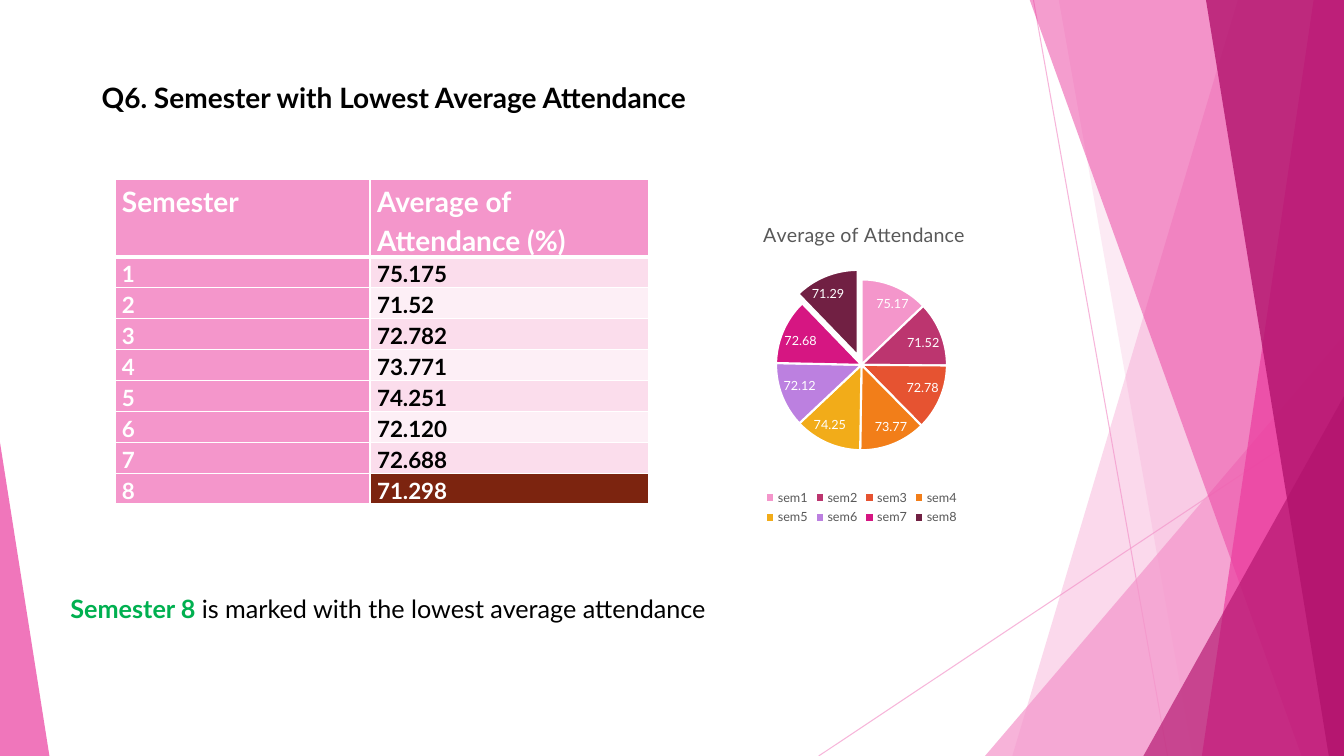
from lxml.etree import SubElement
from pptx import Presentation
from pptx.chart.data import CategoryChartData
from pptx.dml.color import RGBColor
from pptx.enum.chart import XL_CHART_TYPE, XL_LABEL_POSITION, XL_LEGEND_POSITION
from pptx.enum.shapes import MSO_CONNECTOR, MSO_SHAPE
from pptx.enum.text import MSO_AUTO_SIZE
from pptx.oxml import parse_xml
from pptx.oxml.ns import nsdecls, qn
from pptx.util import Inches, Pt

FONT = "Lato"
HUES = {
    "black": "000000", "white": "FFFFFF", "grey": "595959", "green": "00B050",
    "pink": "F496CB", "rose": "EB3D9F", "plum": "B2136D", "brown": "7C240F",
    "odd": "FBDDEC", "even": "FDEFF6",
}
SLICES = ["F496CB", "BC356F", "E65331", "F27E19",
          "F2AC19", "BC80E0", "D61682", "712043"]


def paint(shape, fill, hue, alpha):
    """Give the fill or line of a shape a see-through colour, and no shadow."""
    fill.solid()
    fill.fore_color.rgb = RGBColor.from_string(HUES[hue])
    for node in shape._element.iter(qn("a:srgbClr")):
        SubElement(node, qn("a:alpha"), val=str(alpha * 1000))
    SubElement(shape._element.spPr, qn("a:effectLst"))


def write(frame, text, size=18, hue="black", bold=False, space=None):
    """Add a run to the first paragraph of a text frame."""
    para = frame.paragraphs[0]
    if space:
        para.line_spacing = space
    run = para.add_run()
    run.text = text
    run.font.name = FONT
    run.font.size = Pt(size)
    run.font.bold = bold
    run.font.color.rgb = RGBColor.from_string(HUES[hue])


deck = Presentation()
deck.slide_width, deck.slide_height = Inches(13.33), Inches(7.5)
slide = deck.slides.add_slide(deck.slide_layouts[6])
shapes = slide.shapes

# Facets at the edges, from back to front
for x1, y1, x2, y2 in [(10.25, 0, 11.58, 7.5), (13.33, 4.03, 8.12, 7.5)]:
    ray = shapes.add_connector(MSO_CONNECTOR.STRAIGHT, Inches(x1), Inches(y1),
                               Inches(x2), Inches(y2))
    ray.line.width = Pt(0.75)
    paint(ray, ray.line.fill, "pink", 70)

# Bands hold top and bottom x; wedges hold left, top, width, height, apex
facets = [
    ((12.28, 10.04), "pink", 36),
    ((10.5, 11.83), "pink", 20),
    ((9.77, 3.33, 3.56, 4.17, 1), "pink", 72),
    ((10.21, 12.91), "rose", 50),
    ((13.03, 11.92), "rose", 70),
    ((11.96, 13.18), "plum", 80),
    ((11.34, 3.93, 1.99, 3.57, 1), "plum", 66),
    ((0, 4.39, 0.49, 3.11, 0), "rose", 70),
]
for place, hue, alpha in facets:
    if len(place) == 2:
        top, base = place
        pen = shapes.build_freeform(Inches(top), Inches(-0.01))
        ends = [(13.33, -0.01), (13.33, 7.5), (base, 7.5)]
        pen.add_line_segments([(Inches(x), Inches(y)) for x, y in ends])
        facet = pen.convert_to_shape()
    else:
        *box, apex = place
        facet = shapes.add_shape(MSO_SHAPE.ISOSCELES_TRIANGLE, *map(Inches, box))
        facet.adjustments[0] = apex
    paint(facet, facet.fill, hue, alpha)
    facet.line.fill.background()

# Heading and finding
notes = [
    ((0.91, 0.75, 8.88, 0.44),
     [("Q6. Semester with Lowest Average Attendance", 20, "black", True)]),
    ((0.6, 5.84, 7.76, 0.4),
     [("Semester 8 ", 18, "green", True),
      ("is marked with the lowest average attendance", 18, "black", False)]),
]
for box, runs in notes:
    frame = shapes.add_textbox(*map(Inches, box)).text_frame
    frame.word_wrap = True
    frame.auto_size = MSO_AUTO_SIZE.SHAPE_TO_FIT_TEXT
    for text, size, hue, bold in runs:
        write(frame, text, size=size, hue=hue, bold=bold)

# Table
means = ["75.175", "71.52", "72.782", "73.771",
         "74.251", "72.120", "72.688", "71.298"]
rows = [("Semester", "Average of Attendance (%)")]
rows += [(str(n), mean) for n, mean in enumerate(means, 1)]
table = shapes.add_table(len(rows), 2, Inches(1.14), Inches(1.78),
                         Inches(5.29), Inches(2.52)).table
table.columns[0].width, table.columns[1].width = Inches(2.53), Inches(2.76)
for r, row in enumerate(rows):
    table.rows[r].height = Inches(0.24 if r else 0.6)
    for c, text in enumerate(row):
        cell = table.cell(r, c)
        cell.margin_left = cell.margin_right = Inches(0.07)
        cell.margin_top = cell.margin_bottom = 0
        back, ink = "pink", "white"
        if r and c:
            back, ink = ("odd" if r % 2 else "even"), "black"
            if r == len(means):
                back, ink = "brown", "white"
        write(cell.text_frame, text, size=16 if r else 20, hue=ink,
              bold=True, space=1.15)
        cell.fill.solid()
        cell.fill.fore_color.rgb = RGBColor.from_string(HUES[back])
        props = cell._tc.get_or_add_tcPr()
        for i, side in enumerate("LRTB"):
            thick = (side == "B" and r == 0) or (side == "T" and r == 1)
            props.insert(i, parse_xml(
                f'<a:ln{side} {nsdecls("a")} w="{Pt(3 if thick else 1)}">'
                f'<a:solidFill><a:srgbClr val="{HUES["white"]}"/></a:solidFill>'
                f'</a:ln{side}>'))

# Pie chart
data = CategoryChartData(number_format="0.00")
data.categories = [f"sem{n}" for n in range(1, 9)]
data.add_series("Series 1", [75.17, 71.52, 72.78, 73.77,
                             74.25, 72.12, 72.68, 71.29])
chart = shapes.add_chart(XL_CHART_TYPE.PIE, Inches(6.67), Inches(1.99),
                         Inches(3.75), Inches(3.26), data).chart
chart.font.name, chart.font.size = FONT, Pt(10)
chart.has_title = True
write(chart.chart_title.text_frame, "Average of Attendance", size=14, hue="grey")
chart.chart_title.include_in_layout = False

chart.has_legend = True
chart.legend.position = XL_LEGEND_POSITION.BOTTOM
chart.legend.include_in_layout = False

plot = chart.plots[0]
plot.vary_by_categories = True
plot.has_data_labels = True
labels = plot.data_labels
labels.show_value = True
labels.number_format, labels.number_format_is_linked = "0.00", False
labels.position = XL_LABEL_POSITION.BEST_FIT
for font, hue in [(chart.legend.font, "grey"), (labels.font, "white")]:
    font.name, font.size = FONT, Pt(9)
    font.color.rgb = RGBColor.from_string(HUES[hue])

pie = plot.series[0]
for i, hue in enumerate(SLICES):
    look = pie.points[i].format
    look.fill.solid()
    look.fill.fore_color.rgb = RGBColor.from_string(hue)
    look.line.width = Pt(1.5)
    look.line.color.rgb = RGBColor.from_string(HUES["white"])
last = pie._element.findall(qn("c:dPt"))[-1]
last.find(qn("c:spPr")).addprevious(
    parse_xml(f'<c:explosion {nsdecls("c")} val="12"/>'))

# Places of the title and the pie, as shares of the chart
area = chart._chartSpace.chart
spots = [
    (area.find(qn("c:title")), {"x": 0.23, "y": 0.05}),
    (area.plotArea, {"x": 0.27, "y": 0.24, "w": 0.46, "h": 0.52}),
]
for part, spot in spots:
    layout = part.find(qn("c:layout"))
    if layout is None:
        layout = parse_xml(f'<c:layout {nsdecls("c")}/>')
        part.insert(1 if part.tag == qn("c:title") else 0, layout)
    hold = SubElement(layout, qn("c:manualLayout"))
    if "w" in spot:
        SubElement(hold, qn("c:layoutTarget"), val="inner")
    for axis in "xy":
        SubElement(hold, qn(f"c:{axis}Mode"), val="edge")
    for key, share in spot.items():
        SubElement(hold, qn(f"c:{key}"), val=str(share))

deck.save("out.pptx")
